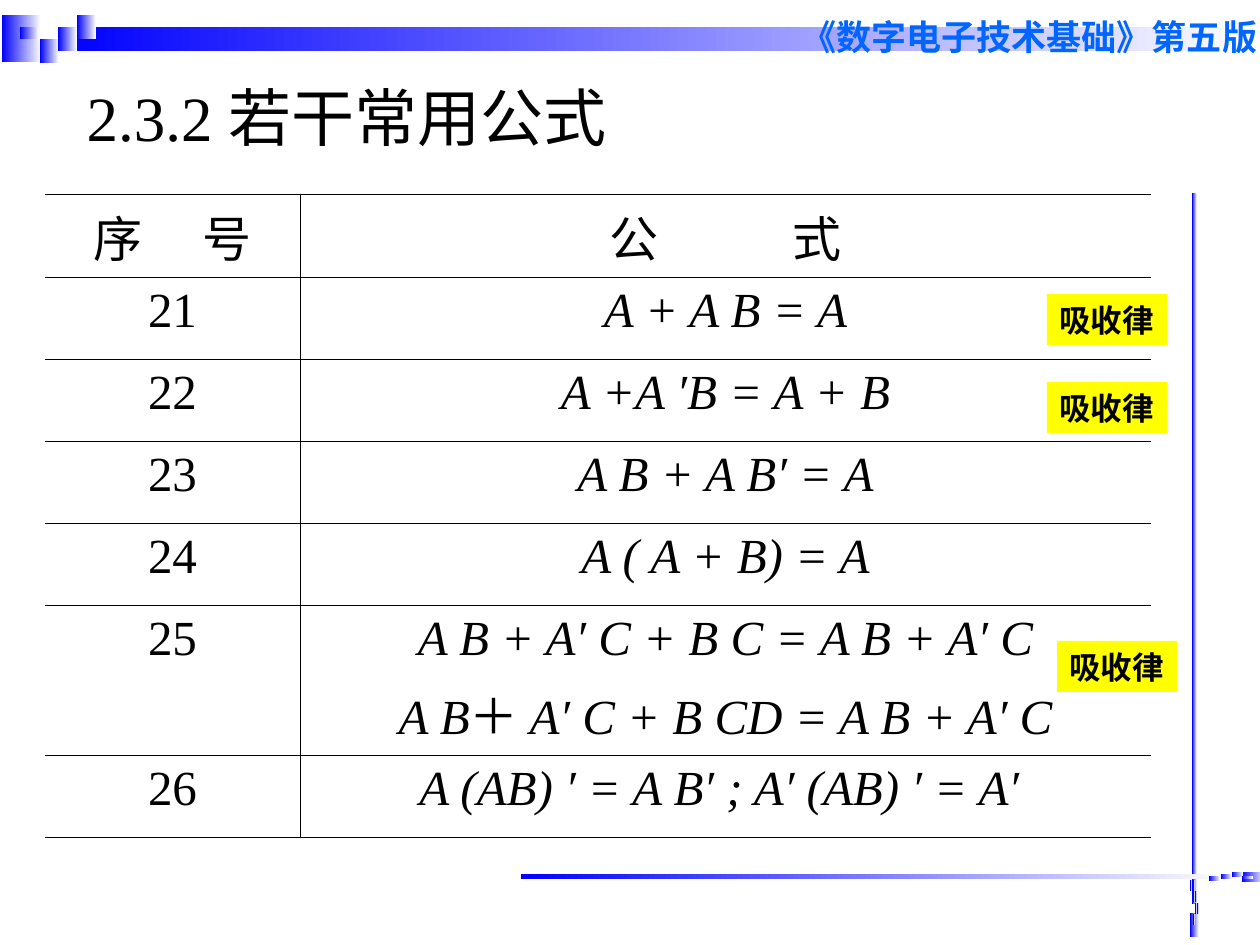
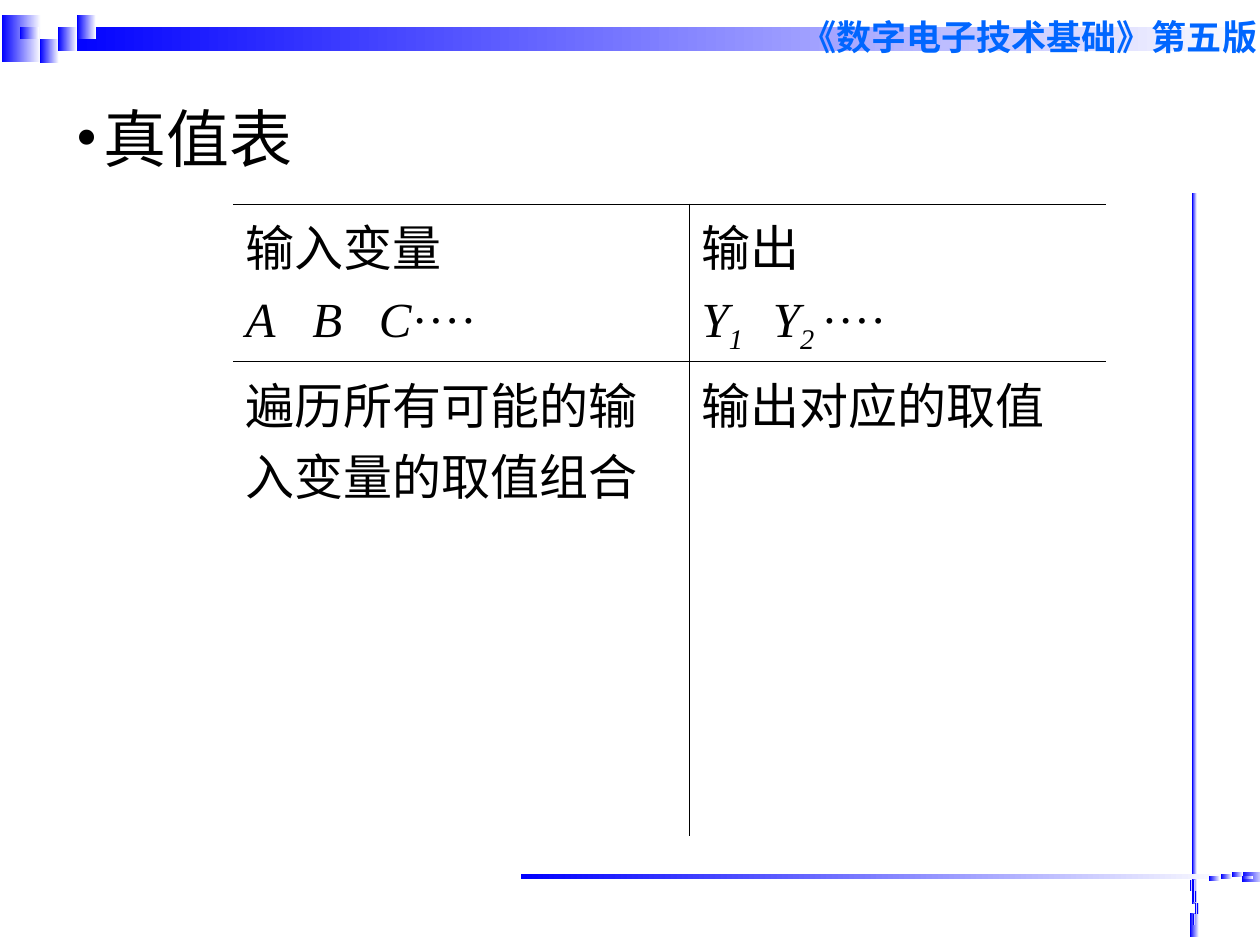
"""Builds two slides on logic algebra: a table of formulas and a truth table."""
from lxml.etree import SubElement
from pptx import Presentation
from pptx.dml.color import RGBColor
from pptx.enum.shapes import MSO_SHAPE as SHAPE
from pptx.enum.text import MSO_ANCHOR as ANCHOR, PP_ALIGN as ALIGN
from pptx.oxml.ns import qn
from pptx.util import Pt

SCALE = 914400 / 126
SLIDE_SIZE = (1260, 945)
TITLE_ONLY = 5
NO_TABLE_STYLE = "{2D5ABB26-0587-4C30-8999-92F81FD0307C}"
BLUE, WHITE, BLACK, YELLOW, SKY = "0000FF", "FFFFFF", "000000", "FFFF00", "0066FF"

TITLE_FORMAT = {"name": "Times New Roman", "size": Pt(36), "bold": False}
CELL_FORMAT = {"name": "Times New Roman", "size": Pt(28), "bold": False}
HEADER_FORMAT = {"name": "Arial", "size": Pt(20), "bold": True}
LABEL_FORMAT = {"name": "Arial", "size": Pt(18), "bold": True}
ITALIC = {"italic": True}
SUBSCRIPT = {"italic": True, "baseline": -25000}

HEADER = ("《数字电子技术基础》第五版", (789, 9, 512, 55))
TOP_BAND = [(2, 15, 39, 47), (59, 27, 1201, 24)]
TOP_TILES = [(58, 27), (77, 15), (77, 27), (40, 39), (20, 27), (58, 39), (40, 51)]
RIGHT_BAND = [(1190, 913, 9, 24), (1192, 193, 5, 711)]
RIGHT_DASHES = [(1193, 891), (1190, 880), (1193, 880), (1195, 903),
                (1193, 914), (1195, 891), (1197, 903)]
BOTTOM_BAND = [(1242, 872, 23, 10), (521, 874, 711, 5)]
BOTTOM_DASHES = [(1221, 876), (1209, 878), (1209, 876), (1232, 874),
                 (1242, 876), (1221, 874), (1232, 872)]


def gap(points):
    """Returns one space widened by the given points."""
    return " ", {"italic": True, "spc": points * 100}


def formula(text):
    """Returns a cell with one italic paragraph."""
    return [[(text, ITALIC)]]


def plain(text):
    """Returns a cell with one upright paragraph."""
    return [[(text, {})]]


FORMULAS = {
    "title": "2.3.2 若干常用公式", "title_box": (74, 55, 1134, 122), "bullet": None,
    "table_at": (45, 194), "columns": (255, 851), "rows": (82, 82, 82, 82, 82, 142, 82),
    "align": ALIGN.CENTER, "closed": True,
    "cells": [
        [[[("序", {}), gap(28), ("号", {})]], [[("公", {}), gap(70), ("式", {})]]],
        [plain("21"), formula("A + A B = A")],
        [plain("22"), formula("A +A ′B = A + B")],
        [plain("23"), formula("A B + A B′ = A")],
        [plain("24"), formula("A ( A + B) = A")],
        [plain("25"), [[("A B + A′ C + B C = A B + A′ C", ITALIC)],
                       [("A B", ITALIC), ("＋ ", {}),
                        ("A′ C + B CD = A B + A′ C", ITALIC)]]],
        [plain("26"), formula("A (AB) ′ = A B′ ; A′ (AB) ′ = A′ ")],
    ],
    "labels": [("吸收律", (1047, 294)), ("吸收律", (1047, 382)), ("吸收律", (1057, 641))],
}
TRUTH_TABLE = {
    "title": "真值表", "title_box": (63, 76, 1134, 122), "bullet": "•",
    "table_at": (233, 204), "columns": (456, 417), "rows": (151, 474),
    "align": ALIGN.LEFT, "closed": False,
    "cells": [
        [[[("输入变量", {})],
          [("A", ITALIC), gap(14), ("B", ITALIC), gap(14), ("C", ITALIC), ("····", {})]],
         [[("输出", {})],
          [("Y", ITALIC), ("1", SUBSCRIPT), gap(10), ("Y", ITALIC),
           ("2 ", SUBSCRIPT), ("····", {})]]],
        [plain("遍历所有可能的输入变量的取值组合"), plain("输出对应的取值")],
    ],
    "labels": [],
}


def px(*lengths):
    """Turns pixel lengths into EMU."""
    return [round(length * SCALE) for length in lengths]


def color(value):
    """Turns a hex string into a colour."""
    return RGBColor.from_string(value)


def add_run(paragraph, text, formats, hex_color=BLACK):
    """Adds a run with font values and run attributes."""
    run = paragraph.add_run()
    run.text = text
    for name, value in formats.items():
        if name in ("spc", "baseline"):
            run.font._element.set(name, str(value))
        else:
            setattr(run.font, name, value)
    run.font.color.rgb = color(hex_color)


def add_gradient(slide, box):
    """Adds a rectangle that fades from blue to white."""
    shape = slide.shapes.add_shape(SHAPE.RECTANGLE, *px(*box))
    shape.shadow.inherit = False
    shape.line.fill.background()
    shape.fill.gradient()
    shape.fill.gradient_angle = 180
    for stop, value in zip(shape.fill.gradient_stops, (WHITE, BLUE)):
        stop.color.rgb = color(value)
    return shape


def add_shared_parts(slide, layout):
    """Draws the bands and header and moves them to the layout."""
    boxes = TOP_BAND + [(*at, 19, 12) for at in TOP_TILES]
    boxes += RIGHT_BAND + [(*at, 2, 11) for at in RIGHT_DASHES]
    boxes += BOTTOM_BAND + [(*at, 11, 3) for at in BOTTOM_DASHES]
    parts = [add_gradient(slide, box) for box in boxes]
    text, box = HEADER
    header = slide.shapes.add_textbox(*px(*box))
    header.text_frame.word_wrap = True
    add_run(header.text_frame.paragraphs[0], text, HEADER_FORMAT, SKY)
    for number, shape in enumerate(parts + [header], 100):
        shape._element.nvSpPr.cNvPr.set("id", str(number))
        layout.shapes._spTree.append(shape._element)


def set_title(slide, content):
    """Places the title and gives it a bullet where asked."""
    title = slide.shapes.title
    title.left, title.top, title.width, title.height = px(*content["title_box"])
    title.text_frame.vertical_anchor = ANCHOR.MIDDLE
    paragraph = title.text_frame.paragraphs[0]
    paragraph.alignment = ALIGN.LEFT
    add_run(paragraph, content["title"], TITLE_FORMAT)
    if content["bullet"]:
        properties = paragraph._p.get_or_add_pPr()
        indent = px(28)[0]
        properties.set("marL", str(indent))
        properties.set("indent", str(-indent))
        SubElement(properties, qn("a:buFont"), typeface="Times New Roman")
        SubElement(properties, qn("a:buChar"), char=content["bullet"])


def set_borders(cell, shown):
    """Draws thin black borders on the shown sides only."""
    properties = cell._tc.get_or_add_tcPr()
    for side in "LRTB":
        line = SubElement(properties, qn(f"a:ln{side}"), w=str(Pt(0.45)))
        if side in shown:
            fill = SubElement(line, qn("a:solidFill"))
            SubElement(fill, qn("a:srgbClr"), val=BLACK)
        else:
            SubElement(line, qn("a:noFill"))


def fill_cell(cell, paragraphs, align):
    """Writes the paragraphs of one cell."""
    frame = cell.text_frame
    for index, runs in enumerate(paragraphs):
        paragraph = frame.add_paragraph() if index else frame.paragraphs[0]
        paragraph.alignment = align
        paragraph.space_before = Pt(7)
        for text, formats in runs:
            add_run(paragraph, text, CELL_FORMAT | formats)


def add_grid(slide, content):
    """Adds the table, open at its left and right edges."""
    columns, rows = content["columns"], content["rows"]
    box = px(*content["table_at"], sum(columns), sum(rows))
    table = slide.shapes.add_table(len(rows), len(columns), *box).table
    table.first_row = table.horz_banding = False
    table._tbl.tblPr.find(qn("a:tableStyleId")).text = NO_TABLE_STYLE
    for column, width in zip(table.columns, px(*columns)):
        column.width = width
    for row, height in zip(table.rows, px(*rows)):
        row.height = height
    for row_index, row_cells in enumerate(content["cells"]):
        is_last = row_index == len(rows) - 1
        bottom = "B" if content["closed"] or not is_last else ""
        for column_index, paragraphs in enumerate(row_cells):
            cell = table.cell(row_index, column_index)
            set_borders(cell, ("L" if column_index else "R") + "T" + bottom)
            cell.fill.background()
            fill_cell(cell, paragraphs, content["align"])


def add_label(slide, text, at):
    """Adds a yellow label naming the law."""
    shape = slide.shapes.add_shape(SHAPE.RECTANGLE, *px(*at, 120, 51))
    shape.shadow.inherit = False
    shape.fill.solid()
    shape.fill.fore_color.rgb = color(YELLOW)
    shape.line.fill.background()
    shape.text_frame.word_wrap = False
    paragraph = shape.text_frame.paragraphs[0]
    paragraph.alignment = ALIGN.LEFT
    add_run(paragraph, text, LABEL_FORMAT)


def main():
    """Builds and saves the presentation."""
    presentation = Presentation()
    presentation.slide_width, presentation.slide_height = px(*SLIDE_SIZE)
    layout = presentation.slide_layouts[TITLE_ONLY]
    for index, content in enumerate((FORMULAS, TRUTH_TABLE)):
        slide = presentation.slides.add_slide(layout)
        if index == 0:
            add_shared_parts(slide, layout)
        set_title(slide, content)
        add_grid(slide, content)
        for text, at in content["labels"]:
            add_label(slide, text, at)
    presentation.save("out.pptx")


if __name__ == "__main__":
    main()
